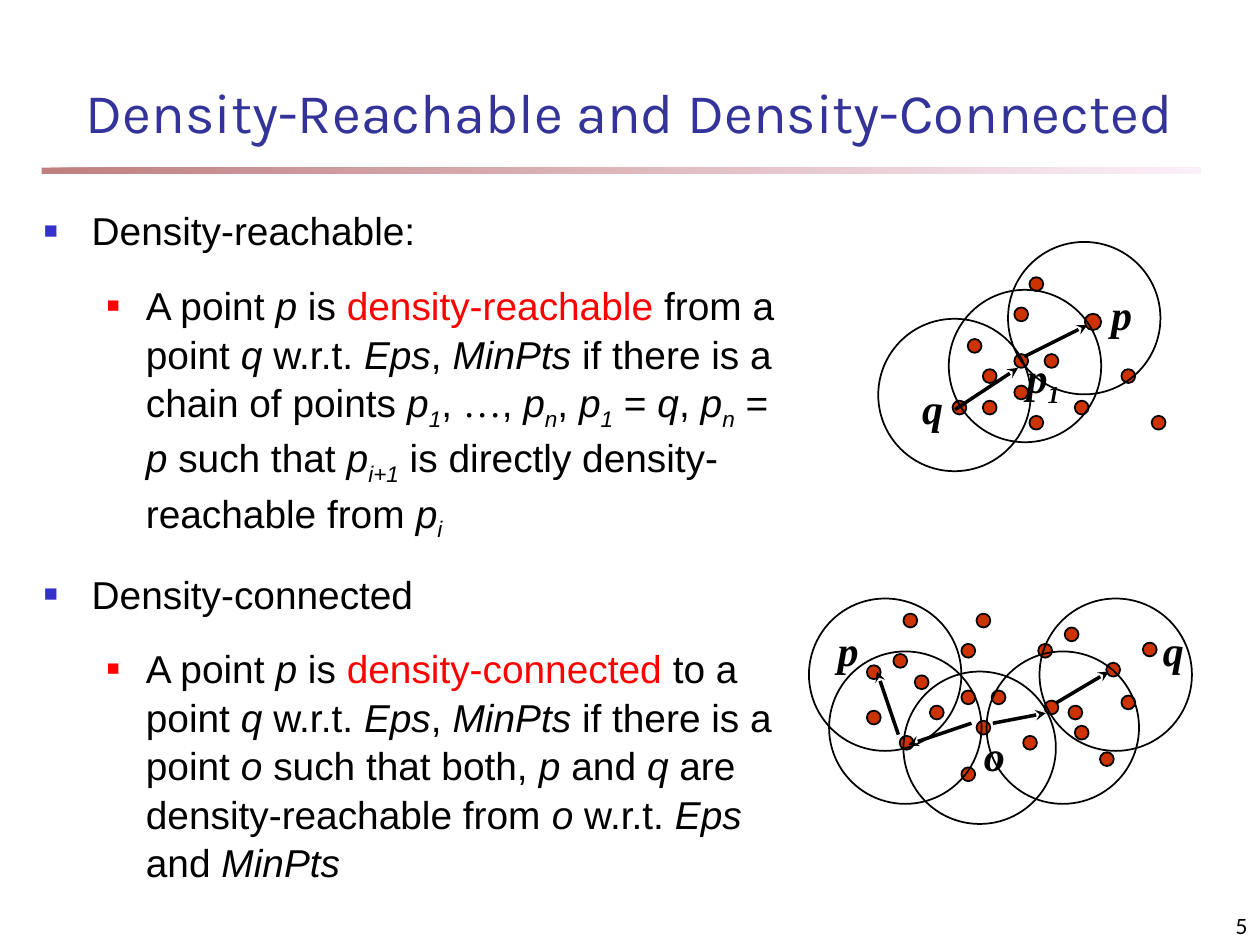
from dataclasses import dataclass
from typing import NamedTuple

from lxml.etree import SubElement
from pptx import Presentation
from pptx.dml.color import RGBColor as Rgb
from pptx.enum.shapes import MSO_CONNECTOR as Connector, MSO_SHAPE as Preset
from pptx.enum.text import MSO_ANCHOR as Anchor, PP_ALIGN as Align
from pptx.oxml.ns import qn
from pptx.shapes.shapetree import GroupShapes, SlideShapes
from pptx.text.text import TextFrame, _Paragraph as Paragraph
from pptx.util import Emu, Pt

EMU_PER_PX = 9144
Canvas = SlideShapes | GroupShapes


@dataclass(frozen=True)
class Theme:
    """Colours, fonts and type sizes of the slide."""
    ink: str = "000000"
    heading: str = "333399"
    accent: str = "FF0000"
    topic_bullet: str = "3333CC"
    dot: str = "CC3300"
    rule_start: str = "800000"
    rule_end: str = "FAE2F6"
    heading_font: str = "Karla"
    body_font: str = "Arial"
    label_font: str = "Times New Roman"
    number_font: str = "Lato"
    heading_size: float = 32
    body_size: float = 22.2
    label_size: float = 24
    number_size: float = 12
    space_before: float = 15
    line_spacing: float = 1.04


THEME = Theme()


class Span(NamedTuple):
    """A stretch of text with its own emphasis."""
    text: str
    italic: bool = False
    subscript: bool = False
    color: str = THEME.ink
    font: str = THEME.body_font


class Level(NamedTuple):
    """Indent and bullet of one outline level."""
    depth: int
    margin: int
    hanging: int
    bullet_color: str
    bullet_percent: int


class Label(NamedTuple):
    """A named point in a diagram."""
    left: int
    top: int
    name: str
    index: str = ""
    width: int = 42
    height: int = 50


class Arrow(NamedTuple):
    """A step from one point to the next."""
    x1: int
    y1: int
    x2: int
    y2: int


@dataclass(frozen=True)
class Diagram:
    """Points, neighbourhoods, steps and names of one example."""
    dots: list[tuple[int, int]]
    circles: list[tuple[int, int]]
    arrows: list[Arrow]
    labels: list[Label]


TOPIC = Level(0, 38, 38, THEME.topic_bullet, 60)
DETAIL = Level(1, 81, 31, THEME.accent, 55)
DOT_SIZE, TARGET_SIZE, CIRCLE_SIZE = 11, 13, 121
TARGET_DOT = (861, 249)


def var(name: str) -> Span:
    """Return a name set in italics."""
    return Span(name, italic=True)


def sub(index: str) -> Span:
    """Return an italic subscript."""
    return Span(index, italic=True, subscript=True)


def key(term: str) -> Span:
    """Return a highlighted term."""
    return Span(term, color=THEME.accent)


OUTLINE: list[tuple[Level, list[Span]]] = [
    (TOPIC, [Span("Density-reachable:")]),
    (DETAIL, [
        Span("A point "), var("p"), Span(" is "), key("density-reachable"), Span(" from a point "),
        var("q"), Span(" w.r.t. "), var("Eps"), Span(", "), var("MinPts"),
        Span(" if there is a chain of points "), var("p"), sub("1"), Span(", "),
        Span("…", font=THEME.label_font), Span(", "), var("p"), sub("n"), Span(", "),
        var("p"), sub("1"), Span(" = "), var("q"), Span(", "), var("p"), sub("n"), Span(" = "),
        var("p"), Span(" such that "), var("p"), sub("i+1"),
        Span(" is directly density-reachable from "), var("p"), sub("i")]),
    (TOPIC, [Span("Density-connected")]),
    (DETAIL, [
        Span("A point "), var("p"), Span(" is "), key("density-connected"), Span(" to a point "),
        var("q"), Span(" w.r.t. "), var("Eps"), Span(", "), var("MinPts"),
        Span(" if there is a point "), var("o "), Span("such that both, "), var("p"),
        Span(" and "), var("q"), Span(" are density-reachable from "), var("o"),
        Span(" w.r.t. "), var("Eps"), Span(" and "), var("MinPts")]),
]

REACHABLE = Diagram(
    dots=[(768, 269), (805, 281), (805, 244), (756, 318), (780, 293), (780, 318), (817, 330),
          (817, 220), (890, 293), (805, 306), (829, 281), (853, 318), (914, 330)],
    circles=[(753, 230), (697, 253), (800, 192)],
    arrows=[Arrow(813, 283, 863, 258), Arrow(758, 325, 808, 292)],
    labels=[Label(872, 224, "p"), Label(722, 299, "q"), Label(805, 274, "p", "1", 67, 56)])

CONNECTED = Diagram(
    dots=[(726, 536), (763, 548), (763, 511), (714, 584), (738, 560), (763, 609), (775, 572),
          (775, 487), (848, 560), (824, 511), (688, 564), (787, 548), (812, 584), (873, 597),
          (890, 552), (829, 556), (853, 576), (907, 510), (845, 498), (878, 526), (709, 519),
          (688, 528), (717, 487)],
    circles=[(658, 517), (717, 533), (783, 517), (825, 475), (642, 475)],
    arrows=[Arrow(771, 574, 721, 591), Arrow(788, 574, 830, 566),
            Arrow(713, 583, 696, 533), Arrow(838, 558, 880, 533)],
    labels=[Label(655, 491, "p"), Label(913, 491, "q"), Label(771, 574, "o")])


def px(length: int) -> Emu:
    """Turn pixels into EMU."""
    return Emu(length * EMU_PER_PX)


def write(paragraph: Paragraph, text: str, *, size: float, font: str, color: str = THEME.ink,
          bold: bool = False, italic: bool = False, subscript: bool = False) -> None:
    """Append formatted text to a paragraph."""
    run = paragraph.add_run()
    run.text = text
    run.font.size, run.font.name = Pt(size), font
    run.font.bold, run.font.italic = bold, italic
    run.font.color.rgb = Rgb.from_string(color)
    if subscript:
        run._r.get_or_add_rPr().set("baseline", "-25000")


def add_frame(canvas: Canvas, left: int, top: int, width: int, height: int,
              anchor: Anchor = Anchor.TOP) -> TextFrame:
    """Add a wrapping text box and return its frame."""
    frame = canvas.add_textbox(px(left), px(top), px(width), px(height)).text_frame
    frame.word_wrap, frame.vertical_anchor = True, anchor
    return frame


def set_level(paragraph: Paragraph, level: Level) -> None:
    """Give a paragraph the bullet and indent of its level."""
    props = paragraph._p.get_or_add_pPr()
    props.set("marL", str(px(level.margin)))
    props.set("indent", str(-px(level.hanging)))
    SubElement(SubElement(props, qn("a:buClr")), qn("a:srgbClr"), val=level.bullet_color)
    SubElement(props, qn("a:buSzPct"), val=str(level.bullet_percent * 1000))
    SubElement(props, qn("a:buFont"), typeface=THEME.body_font)
    SubElement(props, qn("a:buChar"), char="■")
    paragraph.level, paragraph.line_spacing = level.depth, THEME.line_spacing


def draw_outline(canvas: Canvas) -> None:
    """Draw the definitions."""
    frame = add_frame(canvas, 25, 158, 617, 550)
    for position, (level, spans) in enumerate(OUTLINE):
        paragraph = frame.add_paragraph() if position else frame.paragraphs[0]
        set_level(paragraph, level)
        if position:
            paragraph.space_before = Pt(THEME.space_before)
        for span in spans:
            write(paragraph, size=THEME.body_size, **span._asdict())


def draw_rule(canvas: Canvas) -> None:
    """Draw the fading rule under the heading."""
    rule = canvas.add_shape(Preset.RECTANGLE, px(33), px(133), px(920), px(5))
    rule.shadow.inherit = False
    rule.line.fill.background()
    rule.fill.gradient()
    rule.fill.gradient_angle = 0
    for stop, color in zip(rule.fill.gradient_stops, (THEME.rule_start, THEME.rule_end)):
        stop.color.rgb = Rgb.from_string(color)
    for color in rule._element.spPr.iter(qn("a:srgbClr")):
        SubElement(color, qn("a:alpha"), val="50000")


def draw_round(canvas: Canvas, left: int, top: int, size: int, fill: str | None = None) -> None:
    """Draw a dot, or an open circle when there is no fill."""
    disc = canvas.add_shape(Preset.OVAL, px(left), px(top), px(size), px(size))
    disc.shadow.inherit = False
    disc.line.color.rgb, disc.line.width = Rgb.from_string(THEME.ink), Pt(1)
    if fill:
        disc.fill.solid()
        disc.fill.fore_color.rgb = Rgb.from_string(fill)
    else:
        disc.fill.background()


def draw_arrow(canvas: Canvas, arrow: Arrow) -> None:
    """Draw a step with a stealth tip at its end."""
    step = canvas.add_connector(Connector.STRAIGHT, *map(px, arrow))
    step.line.color.rgb, step.line.width = Rgb.from_string(THEME.ink), Pt(2)
    SubElement(step.line._get_or_add_ln(), qn("a:tailEnd"), type="stealth")
    SubElement(step._element.spPr, qn("a:effectLst"))


def draw_label(canvas: Canvas, label: Label) -> None:
    """Draw the name of a point."""
    frame = add_frame(canvas, label.left, label.top, label.width, label.height)
    style = dict(size=THEME.label_size, font=THEME.label_font, bold=True, italic=True)
    write(frame.paragraphs[0], label.name, **style)
    if label.index:
        write(frame.paragraphs[0], label.index, subscript=True, **style)


def draw_diagram(canvas: Canvas, diagram: Diagram) -> None:
    """Draw one example from back to front."""
    for left, top in diagram.dots:
        draw_round(canvas, left, top, DOT_SIZE, THEME.dot)
    for left, top in diagram.circles:
        draw_round(canvas, left, top, CIRCLE_SIZE)
    for label in diagram.labels:
        draw_label(canvas, label)
    for arrow in diagram.arrows:
        draw_arrow(canvas, arrow)


def main() -> None:
    """Build and save the slide."""
    deck = Presentation()
    deck.slide_width, deck.slide_height = px(1000), px(750)
    canvas = deck.slides.add_slide(deck.slide_layouts[6]).shapes
    draw_rule(canvas)
    heading = add_frame(canvas, 0, 42, 1000, 92, Anchor.MIDDLE).paragraphs[0]
    heading.alignment = Align.CENTER
    write(heading, "Density-Reachable and Density-Connected", size=THEME.heading_size,
          font=THEME.heading_font, color=THEME.heading)
    draw_outline(canvas)
    draw_round(canvas, *TARGET_DOT, TARGET_SIZE, THEME.dot)
    draw_diagram(canvas, REACHABLE)
    draw_diagram(canvas.add_group_shape().shapes, CONNECTED)
    number = add_frame(canvas, 792, 708, 208, 42, Anchor.BOTTOM).paragraphs[0]
    number.alignment = Align.RIGHT
    write(number, "5", size=THEME.number_size, font=THEME.number_font)
    deck.save("out.pptx")


if __name__ == "__main__":
    main()
